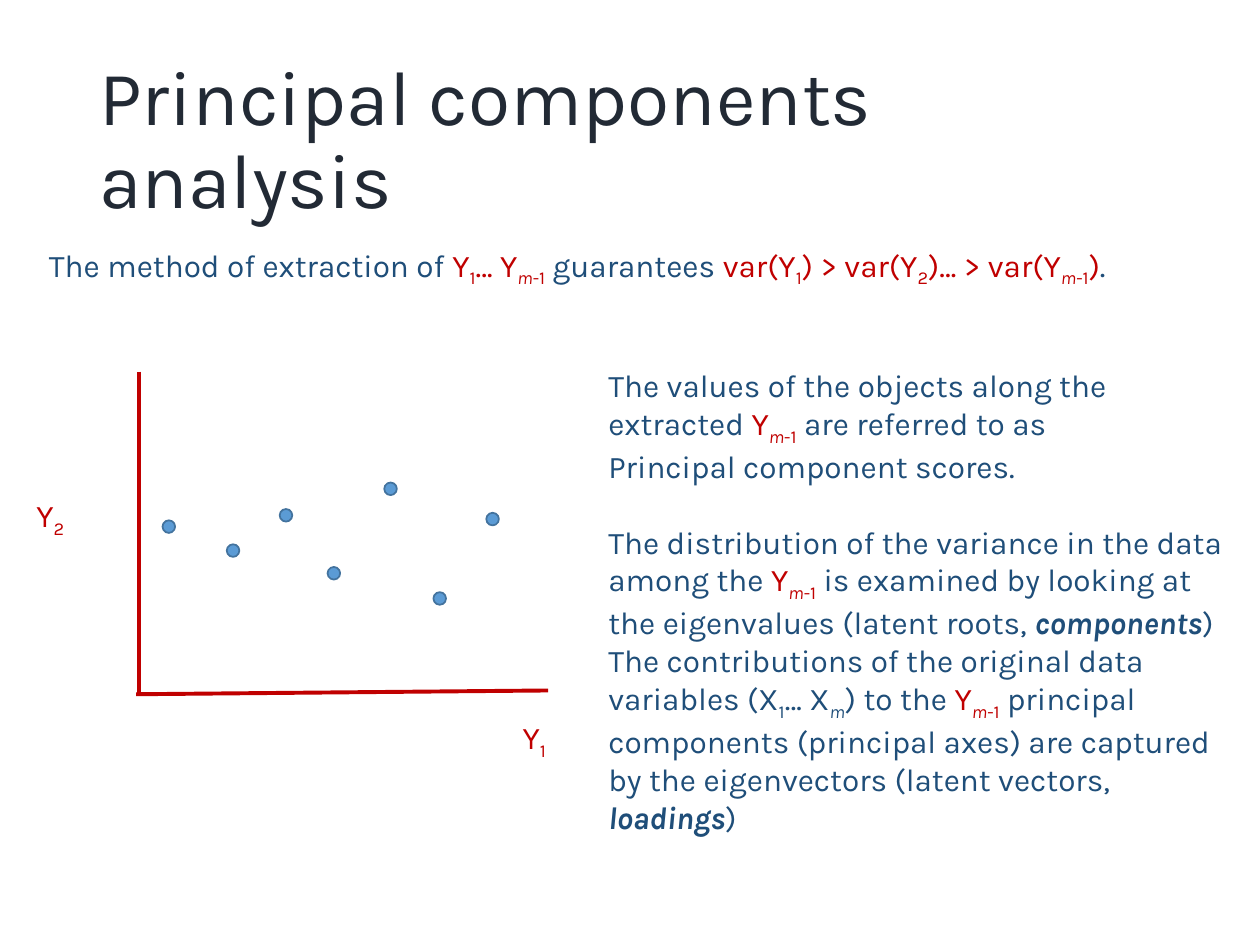
from pptx import Presentation
from pptx import util as u
from pptx.dml.color import RGBColor
from pptx.enum import shapes, text
from pptx.oxml.ns import qn
from lxml import etree

INK = RGBColor(0x22, 0x2A, 0x35)
NAVY = RGBColor(0x1F, 0x4E, 0x79)
RED = RGBColor(0xC0, 0x00, 0x00)
DOT = RGBColor(0x5B, 0x9B, 0xD5)
DOT_EDGE = RGBColor(0x43, 0x73, 0x9E)


def add_run(p, content, color=NAVY, size=18, font="Karla", bold=False, italic=False, sub=False):
    for i, line in enumerate(content.split("\n")):
        if i:
            p.add_line_break()
        r = p.add_run()
        r.text = line
        r.font.name, r.font.size = font, u.Pt(size)
        r.font.bold, r.font.italic = bold, italic
        r.font.color.rgb = color
        if sub:
            r._r.get_or_add_rPr().set("baseline", "-25000")


def red(content):
    return content, dict(color=RED)


def sub(content, color=RED, italic=False):
    return content, dict(color=color, italic=italic, sub=True)


def strong(content):
    return content, dict(bold=True, italic=True)


class SlideBuilder:
    """Holds the style and current slide, and adds each kind of element."""

    def __init__(self, slide, line_width=2.25, dot_size=0.1):
        self.s = slide
        self.line_width = u.Pt(line_width)
        self.dot_size = u.Inches(dot_size)

    def text(self, x, y, w, h, *paragraphs, wrap=True, anchor=text.MSO_ANCHOR.TOP,
             spacing=None, gaps=()):
        sp = self.s.shapes.add_textbox(*map(u.Inches, (x, y, w, h)))
        tf = sp.text_frame
        tf.word_wrap, tf.vertical_anchor = wrap, anchor
        for i, runs in enumerate(paragraphs):
            p = tf.add_paragraph() if i else tf.paragraphs[0]
            p.line_spacing = spacing
            if i in gaps:
                p.space_before = u.Pt(21.5)
            for item in runs:
                content, style = (item, {}) if isinstance(item, str) else item
                add_run(p, content, **style)

    def axis(self, *ends):
        sp = self.s.shapes.add_connector(shapes.MSO_CONNECTOR.STRAIGHT, *map(u.Inches, ends))
        sp.line.color.rgb, sp.line.width = RED, self.line_width
        etree.SubElement(sp._element.spPr, qn("a:effectLst"))

    def dot(self, x, y):
        sp = self.s.shapes.add_shape(shapes.MSO_SHAPE.OVAL, u.Inches(x), u.Inches(y),
                                     self.dot_size, self.dot_size)
        sp.shadow.inherit = False
        sp.fill.solid()
        sp.fill.fore_color.rgb = DOT
        sp.line.color.rgb, sp.line.width = DOT_EDGE, u.Pt(1)


def main():
    prs = Presentation()
    prs.slide_width, prs.slide_height = u.Inches(10), u.Inches(7.5)
    b = SlideBuilder(prs.slides.add_slide(prs.slide_layouts[6]))
    m_minus_1 = [sub("m", italic=True), sub("-1")]
    y_m = [red("Y"), *m_minus_1]

    b.text(0.69, 0.4, 8.62, 1.45,
           [("Principal components analysis", dict(size=44, color=INK))],
           anchor=text.MSO_ANCHOR.MIDDLE, spacing=0.9)
    b.text(0.29, 1.9, 9.39, 0.4,
           ["The method of extraction of ", red("Y"), sub("1"), red("… Y"), *m_minus_1,
            " guarantees ", red("var(Y"), sub("1"), red(") > var(Y"), sub("2"),
            red(")… > var(Y"), *m_minus_1, red(")"), "."])

    b.axis(1.1, 2.95, 1.1, 5.52)
    b.axis(4.35, 5.48, 1.08, 5.51)
    for x, y, index in ((4.05, 5.65, "1"), (0.19, 3.89, "2")):
        b.text(x, y, 0.43, 0.4, [red("Y"), sub(index)], wrap=False)
    for x, y in ((1.8, 4.32), (2.22, 4.04), (2.6, 4.5), (3.05, 3.83),
                 (3.44, 4.7), (3.86, 4.07), (1.29, 4.13)):
        b.dot(x, y)

    b.text(4.73, 2.86, 5.14, 3.74,
           ["The values of the objects along the extracted ", *y_m,
            " are referred to as\nPrincipal component scores."],
           ["The distribution of the variance in the data\namong the ", *y_m,
            " is examined by looking at\nthe eigenvalues (latent roots, ",
            strong("components"), ")"],
           ["The contributions of the original data variables (X", sub("1", NAVY), "… X",
            sub("m", NAVY, italic=True), ") to the ", *y_m,
            " principal\ncomponents (principal axes) are captured\n"
            "by the eigenvectors (latent vectors, ", strong("loadings"), ")"],
           gaps=(1,))
    prs.save("out.pptx")


if __name__ == "__main__":
    main()
